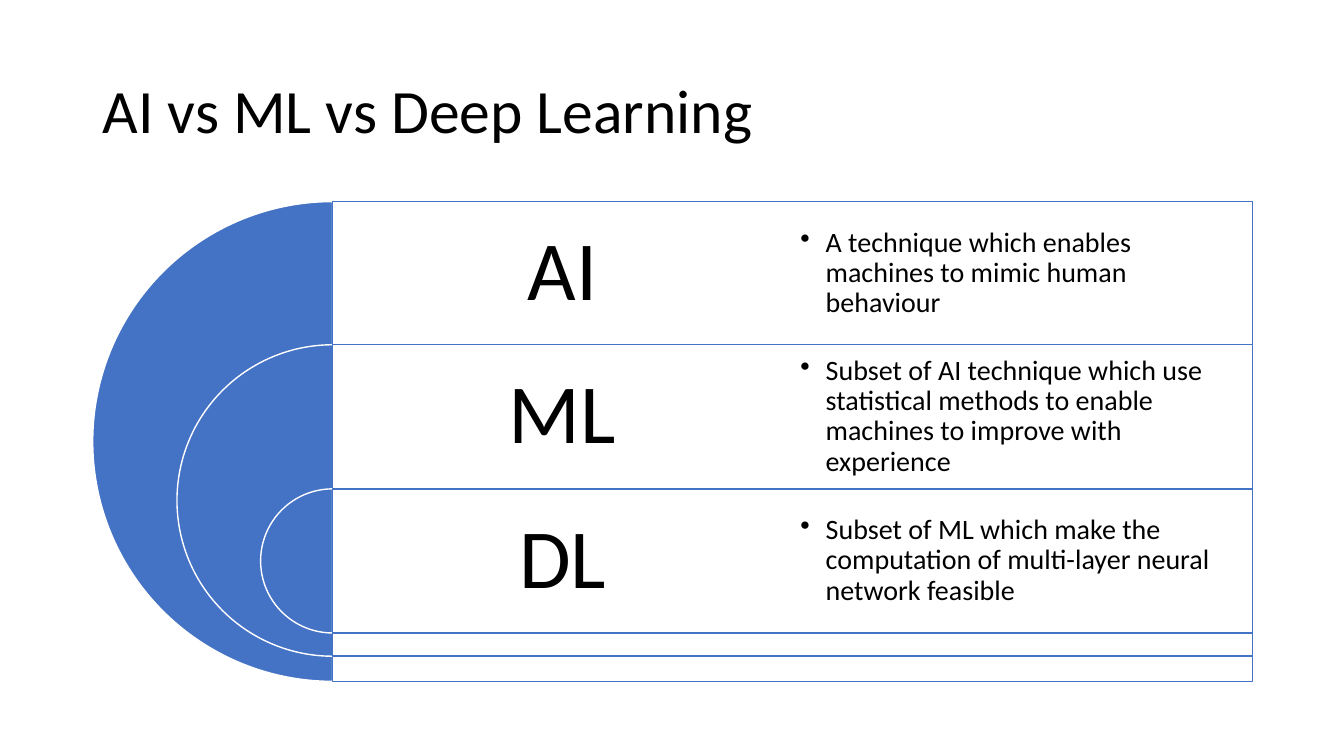
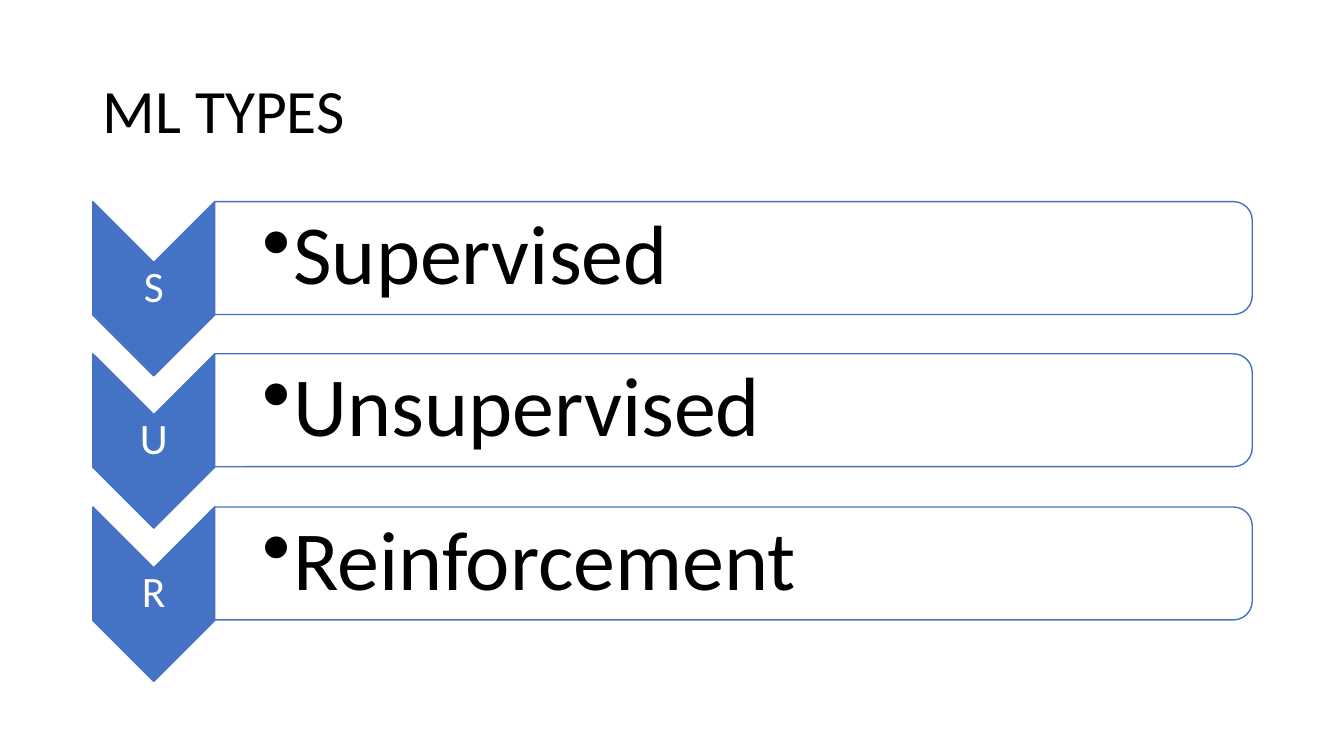
from lxml import etree
from pptx import Presentation
from pptx.dml.color import RGBColor
from pptx.enum.shapes import MSO_SHAPE
from pptx.enum.text import MSO_ANCHOR, PP_ALIGN
from pptx.oxml.ns import qn
from pptx.util import Pt

PIE = MSO_SHAPE.PIE
RECTANGLE = MSO_SHAPE.RECTANGLE
CHEVRON = MSO_SHAPE.CHEVRON
ROUNDED_TOP = MSO_SHAPE.ROUND_2_SAME_RECTANGLE
MIDDLE = MSO_ANCHOR.MIDDLE
LEFT = PP_ALIGN.LEFT
CENTER = PP_ALIGN.CENTER

PX = 9144
FONT = "Calibri"
COLORS = {"blue": "4472C4", "white": "FFFFFF", "black": "000000"}
MARGIN = 92
RIGHT = 1242
TOP = 200


def add_shape(slide, kind, left, top, width, height, fill, line, alpha=100, turned=False):
    if turned:
        left, top = left + (width - height) / 2, top + (height - width) / 2
        width, height = height, width
    shape = slide.shapes.add_shape(kind, *(round(value * PX) for value in (left, top, width, height)))
    shape.rotation = 90 if turned else 0
    shape.shadow.inherit = False
    shape.fill.solid()
    shape.fill.fore_color.rgb = RGBColor.from_string(COLORS[fill])
    shape.line.color.rgb = RGBColor.from_string(COLORS[line])
    shape.line.width = Pt(1)
    if alpha < 100:
        color = shape.element.spPr.find(qn("a:solidFill"))[0]
        etree.SubElement(color, qn("a:alpha"), val=str(alpha * 1000))
    return shape


def add_text(slide, text, left, top, width, height, *, size, color="black",
             align=LEFT, insets=(10, 5, 10, 5), bullet_indent=0):
    box = slide.shapes.add_textbox(left * PX, top * PX, width * PX, height * PX)
    frame = box.text_frame
    frame.word_wrap = True
    frame.vertical_anchor = MIDDLE
    frame.margin_left, frame.margin_top, frame.margin_right, frame.margin_bottom = (
        inset * PX for inset in insets)
    paragraph = frame.paragraphs[0]
    paragraph.alignment = align
    paragraph.line_spacing = 0.9
    run = paragraph.add_run()
    run.text = text
    run.font.name = FONT
    run.font.size = Pt(size)
    run.font.color.rgb = RGBColor.from_string(COLORS[color])
    if bullet_indent:
        properties = paragraph._p.get_or_add_pPr()
        properties.set("marL", str(bullet_indent * PX))
        properties.set("indent", str(-bullet_indent * PX))
        etree.SubElement(properties, qn("a:buChar"), char="•")


presentation = Presentation()
presentation.slide_width = 1333 * PX
presentation.slide_height = 750 * PX
slides = []
for title in ("AI vs ML vs Deep Learning", "ML TYPES"):
    slide = presentation.slides.add_slide(presentation.slide_layouts[6])
    add_text(slide, title, MARGIN, 40, 1150, 145, size=44)
    slides.append(slide)
nested_slide, types_slide = slides

FIELDS = [
    ("AI", 476, "A technique which enables machines to mimic human behaviour"),
    ("ML", 309, "Subset of AI technique which use statistical methods to enable "
                "machines to improve with experience"),
    ("DL", 143, "Subset of ML which make the computation of multi-layer neural network feasible"),
]
PANEL_LEFT = 330
COLUMN = (RIGHT - PANEL_LEFT) // 2
ROW_HEIGHT = 143
for index, (name, diameter, description) in enumerate(FIELDS):
    top = TOP + index * 285 // 2
    half_disc = add_shape(nested_slide, PIE, PANEL_LEFT - diameter / 2, top,
                          diameter, diameter, "blue", "white")
    half_disc.adjustments[0] = 54
    half_disc.adjustments[1] = 162
    add_shape(nested_slide, RECTANGLE, PANEL_LEFT, top, RIGHT - PANEL_LEFT, diameter,
              "white", "blue", alpha=90)
    add_text(nested_slide, name, PANEL_LEFT, top, COLUMN, ROW_HEIGHT,
             size=60, align=CENTER, insets=(25, 25, 25, 25))
    add_text(nested_slide, description, PANEL_LEFT + COLUMN, top, COLUMN, ROW_HEIGHT,
             size=20, insets=(8, 8, 8, 8), bullet_indent=25)

CHEVRON_WIDTH = 121
BAR_LEFT = MARGIN + CHEVRON_WIDTH
for index, learning_type in enumerate(("Supervised", "Unsupervised", "Reinforcement")):
    top = TOP + index * 303 // 2
    add_shape(types_slide, CHEVRON, MARGIN, top, CHEVRON_WIDTH, 173, "blue", "blue", turned=True)
    add_text(types_slide, learning_type[0], MARGIN, top + 60, CHEVRON_WIDTH, 52,
             size=31, color="white", align=CENTER, insets=(2, 2, 2, 2))
    add_shape(types_slide, ROUNDED_TOP, BAR_LEFT, top, RIGHT - BAR_LEFT, 112,
              "white", "blue", alpha=90, turned=True)
    add_text(types_slide, learning_type, BAR_LEFT, top + 5, 1024, 101,
             size=60, insets=(47, 4, 4, 4), bullet_indent=31)

presentation.save("out.pptx")
